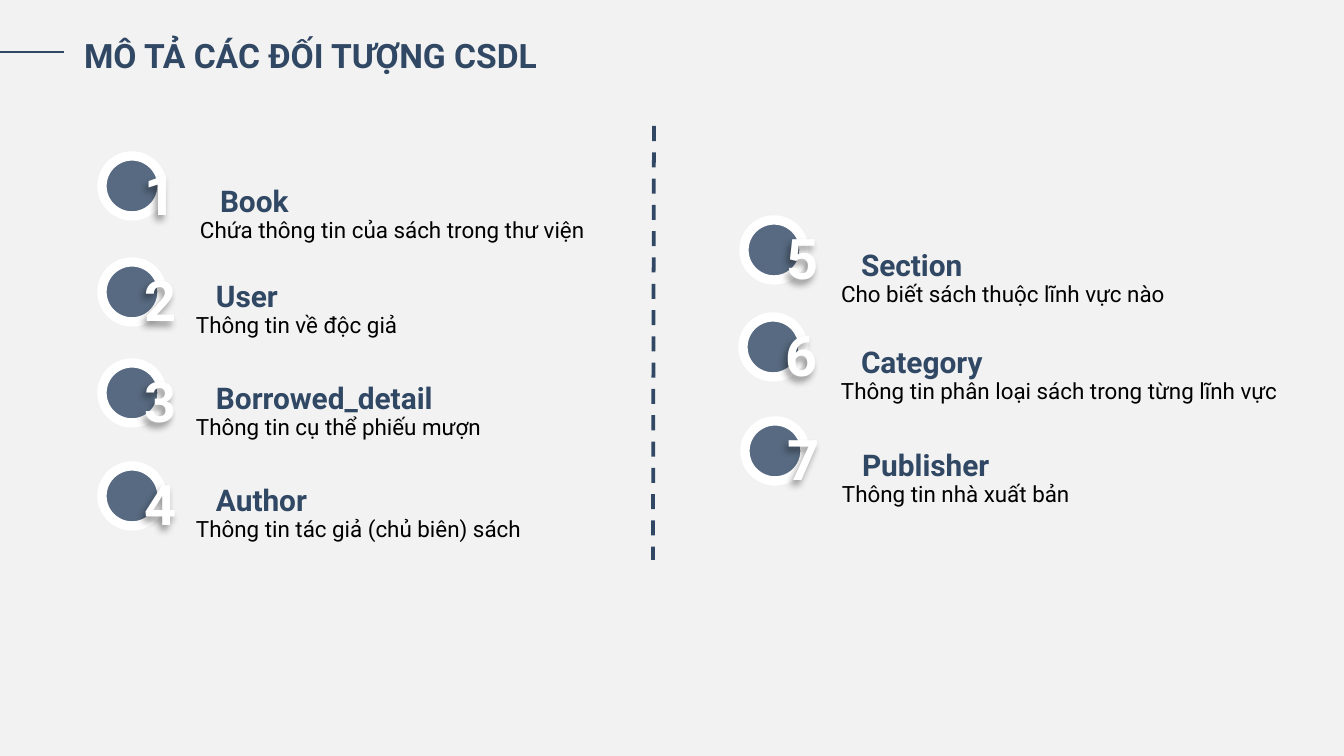
from dataclasses import dataclass

from lxml.etree import SubElement
from pptx import Presentation
from pptx.dml.color import RGBColor
from pptx.enum.dml import MSO_LINE
from pptx.enum.shapes import MSO_CONNECTOR, MSO_SHAPE
from pptx.enum.text import MSO_AUTO_SIZE, PP_ALIGN
from pptx.oxml.ns import qn
from pptx.util import Emu, Pt

SCALE = 914400 / 134.4


@dataclass(frozen=True)
class Theme:
    font: str = "Roboto"
    background: RGBColor = RGBColor.from_string("F2F2F2")
    navy: RGBColor = RGBColor.from_string("314865")
    white: RGBColor = RGBColor.from_string("FFFFFF")
    black: RGBColor = RGBColor.from_string("000000")
    title: int = 18
    number: int = 30
    label: int = 16
    detail: int = 12


@dataclass(frozen=True)
class Box:
    x: int
    y: int
    w: int
    h: int

    def emu(self) -> tuple[Emu, ...]:
        return tuple(px(v) for v in (self.x, self.y, self.w, self.h))


@dataclass(frozen=True)
class TextStyle:
    size: int
    color: RGBColor
    bold: bool = False
    wrap: bool = True
    inset: tuple[int, int] = (13, 7)
    align: PP_ALIGN = PP_ALIGN.LEFT
    spacing: float = 1.0


@dataclass(frozen=True)
class Entity:
    number: int
    name: str
    detail: str
    disc: tuple[int, int]
    text: tuple[int, int]
    name_w: int
    detail_w: int


THEME = Theme()
TITLE = TextStyle(THEME.title, THEME.navy, bold=True)
NUMBER = TextStyle(THEME.number, THEME.white, bold=True, align=PP_ALIGN.CENTER)
LABEL = TextStyle(THEME.label, THEME.navy, bold=True, inset=(9, 5), spacing=1.3)
DETAIL = TextStyle(THEME.detail, THEME.black, wrap=False)

ENTITIES = (
    Entity(1, "Book", "Chứa thông tin của sách trong thư viện", (102, 156), (211, 167), 101, 418),
    Entity(2, "User", "Thông tin về độc giả", (102, 262), (207, 262), 101, 230),
    Entity(3, "Borrowed_detail", "Thông tin cụ thể phiếu mượn", (102, 363), (207, 364), 301, 319),
    Entity(4, "Author", "Thông tin tác giả (chủ biên) sách", (102, 466), (207, 466), 301, 355),
    Entity(5, "Section", "Cho biết sách thuộc lĩnh vực nào", (744, 220), (852, 231), 226, 357),
    Entity(6, "Category", "Thông tin phân loại sách trong từng lĩnh vực", (743, 317), (852, 328), 226, 470),
    Entity(7, "Publisher", "Thông tin nhà xuất bản", (745, 421), (853, 431), 226, 258),
)


def px(value: int) -> Emu:
    return Emu(round(value * SCALE))


def apply(target, values: dict) -> None:
    for name, value in values.items():
        setattr(target, name, value)


def add_text(shapes, text: str, box: Box, style: TextStyle):
    sp = shapes.add_textbox(*box.emu())
    tf = sp.text_frame
    side, top = (px(v) for v in style.inset)
    apply(tf, {
        "margin_left": side, "margin_right": side,
        "margin_top": top, "margin_bottom": top,
        "word_wrap": style.wrap, "auto_size": MSO_AUTO_SIZE.SHAPE_TO_FIT_TEXT,
    })
    p = tf.paragraphs[0]
    apply(p, {"alignment": style.align, "line_spacing": style.spacing})
    r = p.add_run()
    r.text = text
    apply(r.font, {"name": THEME.font, "size": Pt(style.size), "bold": style.bold})
    r.font.color.rgb = style.color
    return sp


def add_soft_shadow(sp) -> None:
    effects = SubElement(sp._element.spPr, qn("a:effectLst"))
    shadow = SubElement(effects, qn("a:outerShdw"), blurRad="50800", dist="38100",
                        dir="8100000", algn="tr", rotWithShape="0")
    color = SubElement(shadow, qn("a:prstClr"), val="black")
    SubElement(color, qn("a:alpha"), val="40000")


def add_disc(shapes, box: Box) -> None:
    sp = shapes.add_shape(MSO_SHAPE.OVAL, *box.emu())
    sp.shadow.inherit = False
    sp.fill.solid()
    sp.fill.fore_color.rgb = THEME.navy
    SubElement(sp.fill._xPr.find(qn("a:solidFill"))[0], qn("a:alpha"), val="80000")
    sp.line.color.rgb = THEME.white
    sp.line.width = Pt(5)


def add_line(shapes, start: tuple[int, int], end: tuple[int, int], width: int,
             dash: MSO_LINE = MSO_LINE.SOLID) -> None:
    cxn = shapes.add_connector(MSO_CONNECTOR.STRAIGHT, *(px(v) for v in start + end))
    cxn.line.color.rgb = THEME.navy
    apply(cxn.line, {"width": Pt(width), "dash_style": dash})
    SubElement(cxn._element.spPr, qn("a:effectLst"))


def add_entity(shapes, entity: Entity) -> None:
    group = shapes.add_group_shape().shapes
    x, y = entity.disc
    add_disc(group, Box(x, y, 60, 60))
    number = add_text(group, str(entity.number), Box(x + 32, y - 3, 24, 82), NUMBER)
    add_soft_shadow(number)
    x, y = entity.text
    add_text(group, entity.name, Box(x, y, entity.name_w, 58), LABEL)
    add_text(group, entity.detail, Box(x - 24, y + 42, entity.detail_w, 40), DETAIL)


def main() -> None:
    prs = Presentation()
    apply(prs, {"slide_width": px(1344), "slide_height": px(756)})
    s = prs.slides.add_slide(prs.slide_layouts[6])
    s.background.fill.solid()
    s.background.fill.fore_color.rgb = THEME.background
    add_line(s.shapes, (654, 126), (653, 560), 2, MSO_LINE.DASH)
    add_line(s.shapes, (-35, 52), (64, 52), 1)
    add_text(s.shapes, "MÔ TẢ CÁC ĐỐI TƯỢNG CSDL", Box(71, 28, 564, 54), TITLE)
    for entity in ENTITIES:
        add_entity(s.shapes, entity)
    prs.save("out.pptx")


if __name__ == "__main__":
    main()
